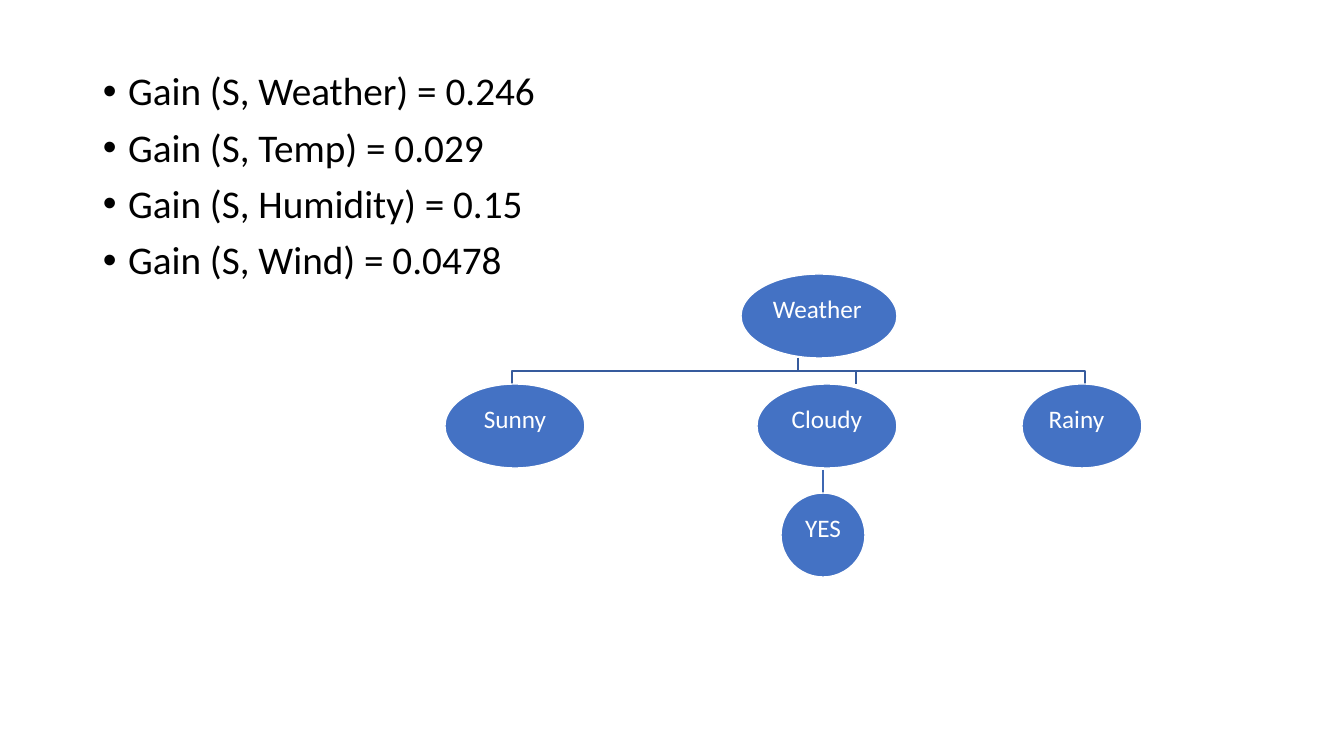
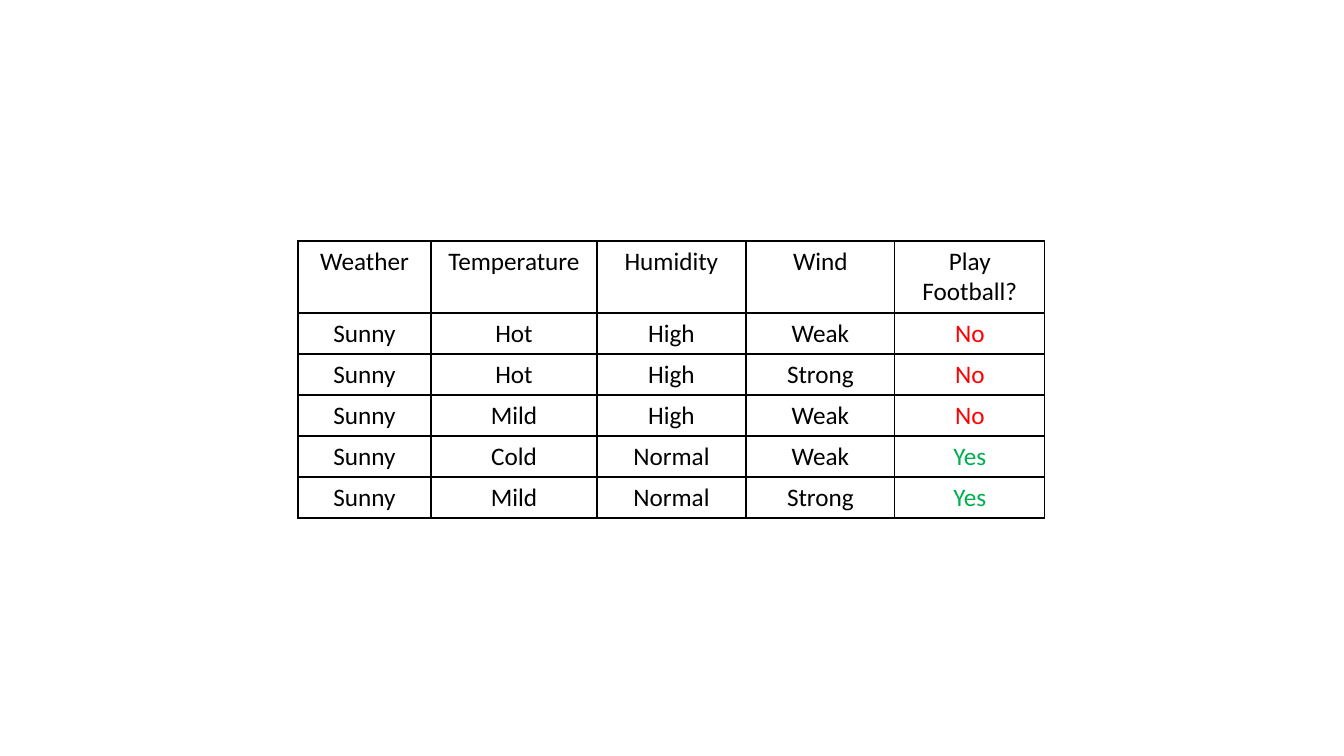
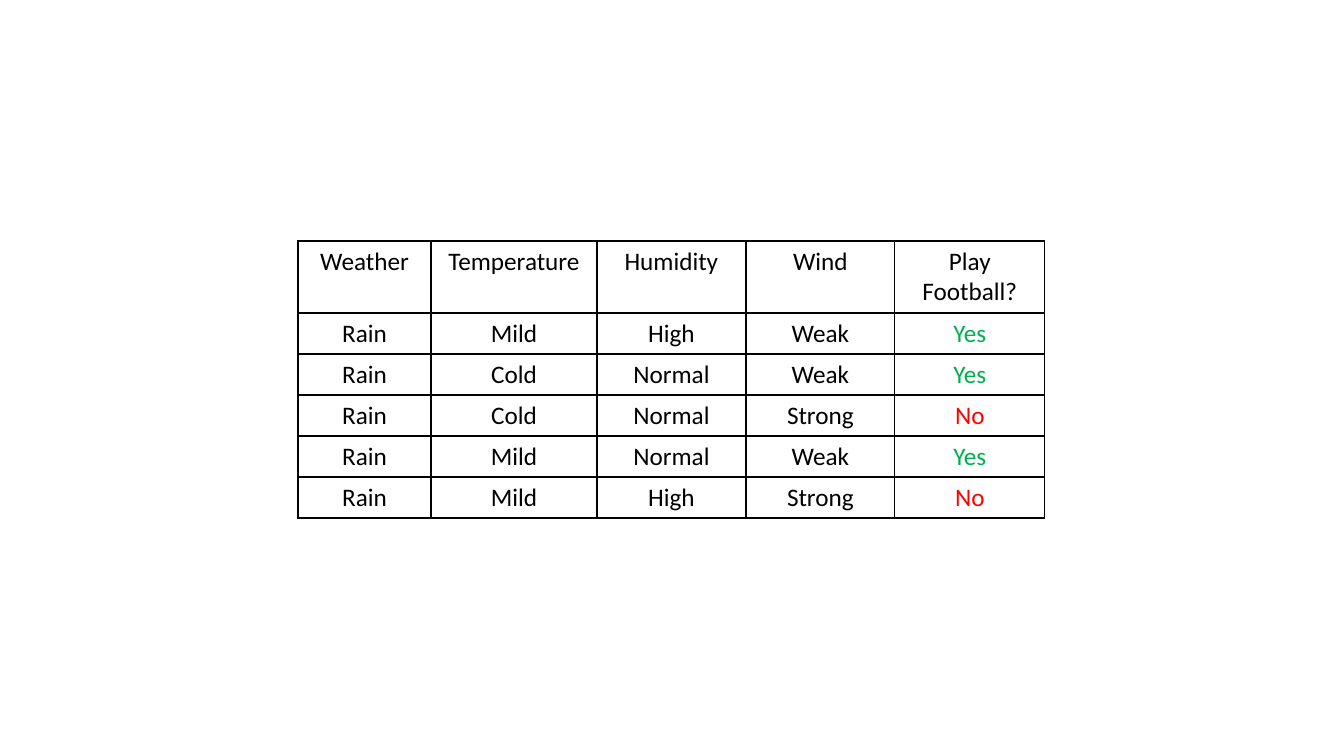
from dataclasses import dataclass

from lxml import etree
from pptx import Presentation
from pptx import util as u
from pptx.dml.color import RGBColor
from pptx.enum import shapes, text
from pptx.oxml import parse_xml
from pptx.oxml.ns import nsdecls, qn


@dataclass(frozen=True)
class Theme:
    """Colours, font and type sizes of the deck."""
    ink: str = "000000"
    paper: str = "FFFFFF"
    node: str = "4472C4"
    edge: str = "365B9D"
    stem: str = "3E67B2"
    yes: str = "00B050"
    no: str = "FF0000"
    font: str = "Calibri"
    body: int = 28
    small: int = 18
    line: int = 1


THEME = Theme()
WIDE, HIGH = 1344, 756
HEAD = ["Weather", "Temperature", "Humidity", "Wind", "Play Football?"]
COLS = [133, 166, 149, 149, 150]
SUNNY = [
    ["Sunny", "Hot", "High", "Weak", "No"],
    ["Sunny", "Hot", "High", "Strong", "No"],
    ["Sunny", "Mild", "High", "Weak", "No"],
    ["Sunny", "Cold", "Normal", "Weak", "Yes"],
    ["Sunny", "Mild", "Normal", "Strong", "Yes"],
]
RAIN = [
    ["Rain", "Mild", "High", "Weak", "Yes"],
    ["Rain", "Cold", "Normal", "Weak", "Yes"],
    ["Rain", "Cold", "Normal", "Strong", "No"],
    ["Rain", "Mild", "Normal", "Weak", "Yes"],
    ["Rain", "Mild", "High", "Strong", "No"],
]
GAINS = [
    "Gain (S, Weather) = 0.246",
    "Gain (S, Temp) = 0.029",
    "Gain (S, Humidity) = 0.15",
    "Gain (S, Wind) = 0.0478",
]


def px(n):
    """Turn pixels into EMU."""
    return u.Emu(round(n * 12192000 / WIDE))


def style(para, size, color, align):
    """Set the font and alignment of a paragraph."""
    para.alignment = align
    para.font.name = THEME.font
    para.font.size = u.Pt(size)
    para.font.color.rgb = RGBColor.from_string(color)


def stroke(line, color):
    """Set a line's colour and width."""
    line.color.rgb = RGBColor.from_string(color)
    line.width = u.Pt(THEME.line)


def bullets(slide, items, x, y, w, h):
    """Add a bulleted list."""
    frame = slide.shapes.add_textbox(px(x), px(y), px(w), px(h)).text_frame
    frame.word_wrap = True
    for i, item in enumerate(items):
        para = frame.add_paragraph() if i else frame.paragraphs[0]
        para.text = item
        style(para, THEME.body, THEME.ink, text.PP_ALIGN.LEFT)
        para.line_spacing = 0.9
        para.space_before = u.Pt(10)
        props = para._p.get_or_add_pPr()
        props.set("marL", str(u.Inches(0.25)))
        props.set("indent", str(-u.Inches(0.25)))
        mark = [("a:buFont", "typeface", "Arial"), ("a:buChar", "char", "•")]
        for tag, key, value in mark:
            etree.SubElement(props, qn(tag)).set(key, value)


def node(slide, label, x, y, w, align=text.PP_ALIGN.CENTER):
    """Add a labelled oval of the tree."""
    oval = slide.shapes.add_shape(
        shapes.MSO_SHAPE.OVAL, px(x), px(y), px(w), px(84))
    oval.shadow.inherit = False
    oval.fill.solid()
    oval.fill.fore_color.rgb = RGBColor.from_string(THEME.node)
    stroke(oval.line, THEME.paper)
    frame = oval.text_frame
    frame.word_wrap = True
    frame.vertical_anchor = text.MSO_ANCHOR.MIDDLE
    frame.margin_left = frame.margin_right = px(9)
    frame.margin_top, frame.margin_bottom = 0, px(16)
    para = frame.paragraphs[0]
    para.text = label
    style(para, THEME.small, THEME.paper, align)


def branch(slide, x, y, end, drop):
    """Add an open path that goes down, across and down."""
    mid = y + drop // 2
    path = slide.shapes.build_freeform(px(x), px(y))
    points = [(x, mid), (end, mid), (end, y + drop)]
    path.add_line_segments([(px(a), px(b)) for a, b in points], close=False)
    shape = path.convert_to_shape()
    shape.shadow.inherit = False
    shape.fill.background()
    stroke(shape.line, THEME.edge)


def stem(slide, x, top, base):
    """Add an upright line."""
    line = slide.shapes.add_connector(
        shapes.MSO_CONNECTOR.STRAIGHT, px(x), px(top), px(x), px(base))
    stroke(line.line, THEME.stem)
    etree.SubElement(line._element.spPr, qn("a:effectLst"))


def border(cell):
    """Draw all four edges of a cell."""
    props = cell._tc.get_or_add_tcPr()
    for i, side in enumerate("LRTB"):
        props.insert(i, parse_xml(
            f'<a:ln{side} {nsdecls("a")} w="{u.Pt(THEME.line)}"><a:solidFill>'
            f'<a:srgbClr val="{THEME.ink}"/></a:solidFill></a:ln{side}>'))


def grid(slide, rows, x, y):
    """Add a ruled table below the shared heading row."""
    heights = [72] + [41] * len(rows)
    table = slide.shapes.add_table(
        len(heights), len(COLS), px(x), px(y),
        px(sum(COLS)), px(sum(heights))).table
    table.first_row = table.horz_banding = False
    for col, wide in zip(table.columns, COLS):
        col.width = px(wide)
    hues = {"Yes": THEME.yes, "No": THEME.no}
    for row, high, words in zip(table.rows, heights, [HEAD] + rows):
        row.height = px(high)
        for cell, word in zip(row.cells, words):
            cell.text = word
            cell.fill.background()
            border(cell)
            style(cell.text_frame.paragraphs[0], THEME.small,
                  hues.get(word, THEME.ink), text.PP_ALIGN.CENTER)


def tree(slide):
    """Add the decision tree."""
    for end in (1085, 856, 512):
        branch(slide, 798, 358, end, 26)
    stem(slide, 823, 470, 496)
    left = text.PP_ALIGN.LEFT
    node(slide, "Weather", 741, 274, 156, left)
    node(slide, "Sunny", 445, 384, 140)
    node(slide, "Cloudy", 757, 384, 140)
    node(slide, "Rainy", 1022, 384, 120, left)
    node(slide, "YES", 781, 493, 84)


def main():
    """Build and save the deck."""
    deck = Presentation()
    deck.slide_width, deck.slide_height = px(WIDE), px(HIGH)
    blank = deck.slide_layouts[6]
    slide = deck.slides.add_slide(blank)
    bullets(slide, GAINS, 93, 67, 1159, 613)
    tree(slide)
    for rows in (SUNNY, RAIN):
        grid(deck.slides.add_slide(blank), rows, 298, 241)
    deck.save("out.pptx")


if __name__ == "__main__":
    main()
